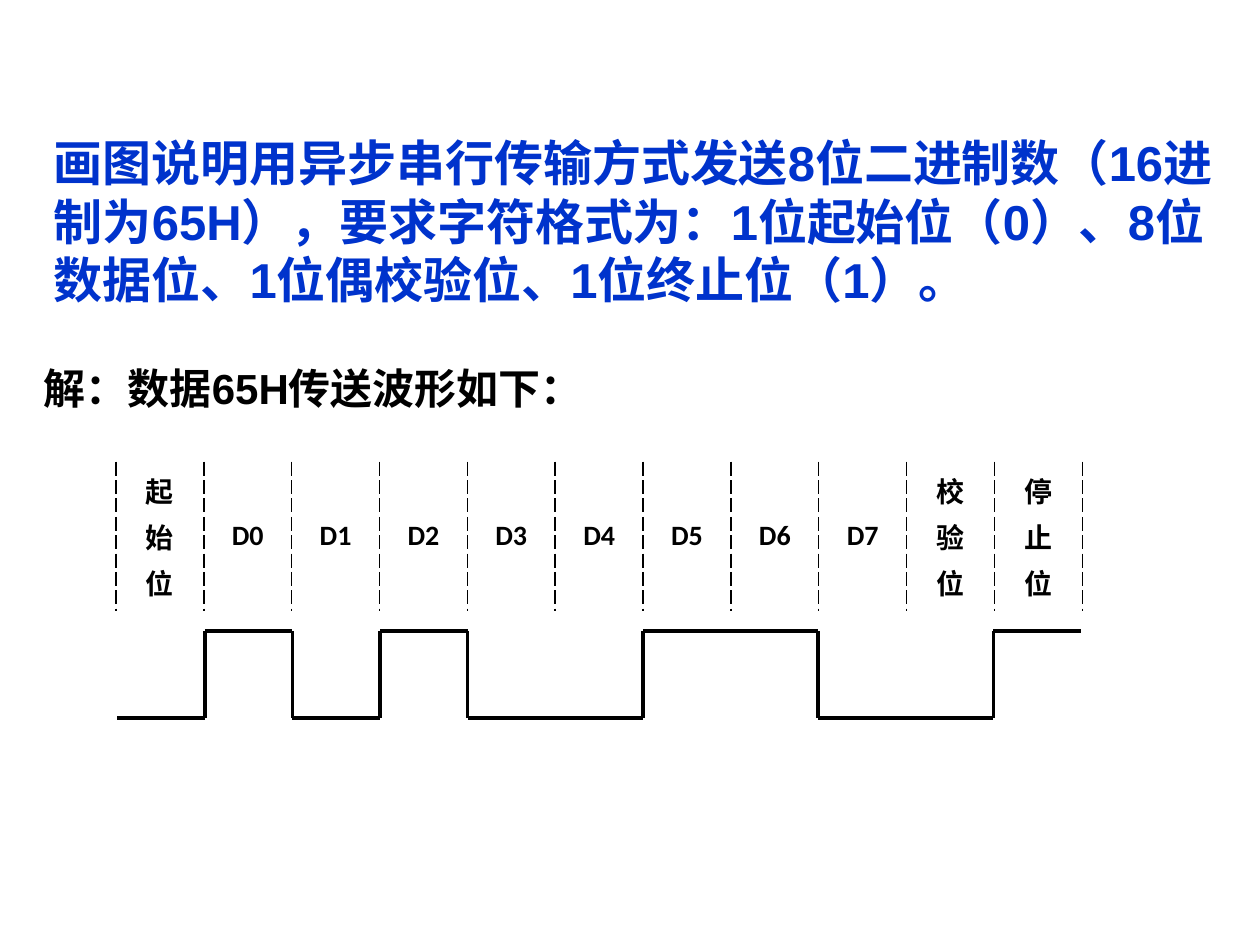
from pptx import Presentation
from pptx.dml.color import RGBColor
from pptx.enum.shapes import MSO_CONNECTOR as Conn
from pptx.enum.text import MSO_ANCHOR as Anchor, PP_ALIGN as Align
from pptx.oxml import parse_xml
from pptx.oxml.ns import nsdecls
from pptx.util import Inches, Pt

BLUE = RGBColor(0x00, 0x33, 0xCC)
BLACK = RGBColor(0x00, 0x00, 0x00)
WHITE = RGBColor(0xFF, 0xFF, 0xFF)

TASK = ("画图说明用异步串行传输方式发送8位二进制数（16进制为65H），"
        "要求字符格式为：1位起始位（0）、8位数据位、1位偶校验位、1位终止位（1）。")
ANSWER = "解：数据65H传送波形如下："
LABELS = ["起\n始\n位", *(f"D{n}" for n in range(8)), "校\n验\n位", "停\n止\n位"]
BITS = [0, 1, 0, 1, 0, 0, 1, 1, 0, 0, 1]
LEVELS = {0: 5.7, 1: 5.01}


def style(frame, font, size, color):
    for para in frame.paragraphs:
        for run in para.runs:
            run.font.name = font
            run.font.size = Pt(size)
            run.font.bold = True
            run.font.color.rgb = color


def add_text(slide, text, box, size, color):
    frame = slide.shapes.add_textbox(*map(Inches, box)).text_frame
    frame.word_wrap = True
    frame.text = text
    style(frame, "Arial", size, color)


def set_edge(cell, side, color, dash):
    props = cell._tc.get_or_add_tcPr()
    edge = parse_xml(
        f'<a:ln{side} {nsdecls("a")} w="{Pt(1)}"><a:solidFill>'
        f'<a:srgbClr val="{color}"/></a:solidFill>'
        f'<a:prstDash val="{dash}"/></a:ln{side}>')
    props.insert("LRTB".index(side), edge)


def add_frame(slide, labels, box):
    table = slide.shapes.add_table(1, len(labels), *map(Inches, box)).table
    table.first_row = False
    table.horz_banding = False
    for cell, label in zip(table.rows[0].cells, labels):
        cell.fill.solid()
        cell.fill.fore_color.rgb = WHITE
        cell.vertical_anchor = Anchor.MIDDLE
        cell.text_frame.text = label
        style(cell.text_frame, "Calibri", 16, BLACK)
        for para in cell.text_frame.paragraphs:
            para.alignment = Align.CENTER
            para.space_before = Pt(3.2)
        for side in "LRTB":
            if side in "LR":
                set_edge(cell, side, BLACK, "sysDash")
            else:
                set_edge(cell, side, WHITE, "solid")


def add_line(slide, *ends):
    line = slide.shapes.add_connector(Conn.STRAIGHT, *map(Inches, ends))
    line.line.color.rgb = BLACK
    line.line.width = Pt(2)
    line._element.spPr.append(parse_xml(f'<a:effectLst {nsdecls("a")}/>'))


def add_wave(slide, bits, left, width):
    step = width / len(bits)
    last = bits[0]
    for n, bit in enumerate(bits):
        x = left + n * step
        if bit != last:
            add_line(slide, x, LEVELS[1], x, LEVELS[0])
        add_line(slide, x, LEVELS[bit], x + step, LEVELS[bit])
        last = bit


def main():
    deck = Presentation()
    deck.slide_width, deck.slide_height = Inches(10), Inches(7.5)
    slide = deck.slides.add_slide(deck.slide_layouts[6])
    add_text(slide, TASK, (0.33, 1, 9.42, 1.51), 28, BLUE)
    add_text(slide, ANSWER, (0.25, 2.83, 9.5, 1.1), 24, BLACK)
    add_frame(slide, LABELS, (0.92, 3.67, 7.67, 1.17))
    add_wave(slide, BITS, 0.93, 7.65)
    deck.save("out.pptx")


if __name__ == "__main__":
    main()
